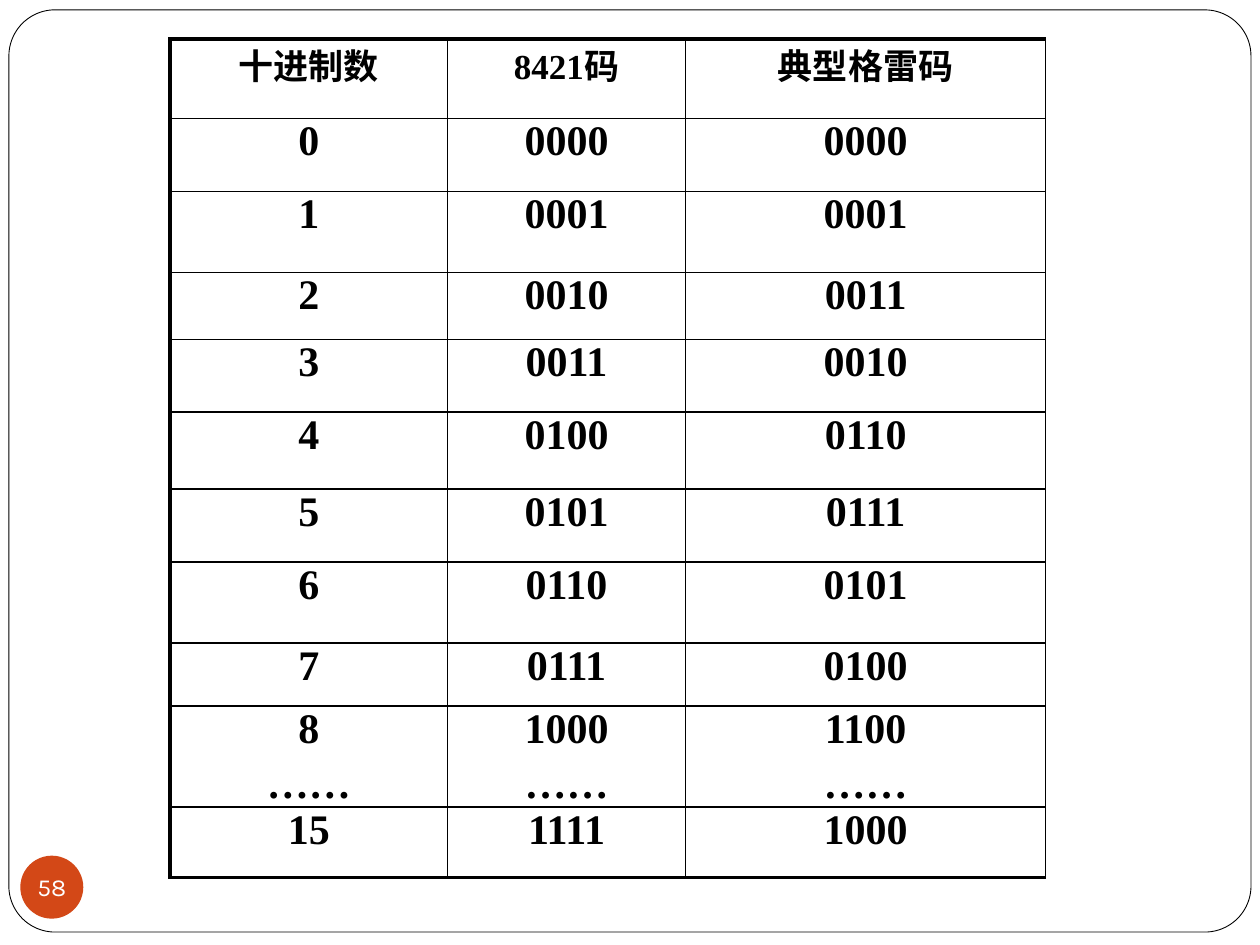
from dataclasses import dataclass

import lxml.etree
import pptx
import pptx.dml.color
import pptx.enum.shapes
import pptx.enum.text
import pptx.oxml.ns
import pptx.util

Cm = pptx.util.Cm
Pt = pptx.util.Pt
qn = pptx.oxml.ns.qn
SHAPES = pptx.enum.shapes.MSO_SHAPE
CENTER = pptx.enum.text.PP_ALIGN.CENTER

BLACK = pptx.dml.color.RGBColor(0x00, 0x00, 0x00)
WHITE = pptx.dml.color.RGBColor(0xFF, 0xFF, 0xFF)
ORANGE = pptx.dml.color.RGBColor(0xD3, 0x48, 0x17)

COLUMN_WIDTHS = (5.59, 4.8, 7.26)
ROW_HEIGHTS = (1.6, 1.47, 1.63, 1.35, 1.47, 1.55, 1.47, 1.63, 1.27, 1.6, 1.42)
THIN, THICK = 1, 2.25


@dataclass(frozen=True)
class TextFormat:
    name: str
    size: int
    bold: bool
    color: pptx.dml.color.RGBColor


@dataclass(frozen=True)
class Panel:
    outline: int
    left: float
    top: float
    width: float
    height: float
    fill: pptx.dml.color.RGBColor


HEADING = TextFormat("Times New Roman", 20, True, BLACK)
CODE = TextFormat("Times New Roman", 24, True, BLACK)
PAGE_NUMBER = TextFormat("Karla", 14, False, WHITE)
FRAME = Panel(SHAPES.ROUNDED_RECTANGLE, 0.18, 0.2, 25.04, 18.59, WHITE)
BADGE = Panel(SHAPES.OVAL, 0.41, 17.25, 1.27, 1.27, ORANGE)


def apply(target, values: dict) -> None:
    for attribute, value in values.items():
        setattr(target, attribute, value)


def write(paragraph, text: str, style: TextFormat) -> None:
    paragraph.alignment = CENTER
    run = paragraph.add_run()
    run.text = text
    apply(run.font, {"name": style.name, "size": Pt(style.size), "bold": style.bold})
    run.font.color.rgb = style.color


def draw_panel(slide, panel: Panel):
    box = [Cm(length) for length in (panel.left, panel.top, panel.width, panel.height)]
    shape = slide.shapes.add_shape(panel.outline, *box)
    shape.shadow.inherit = False
    shape.fill.solid()
    shape.fill.fore_color.rgb = panel.fill
    return shape


def space_before(paragraph, percent: int) -> None:
    spacing = lxml.etree.SubElement(paragraph._p.get_or_add_pPr(), qn("a:spcBef"))
    lxml.etree.SubElement(spacing, qn("a:spcPct"), val=str(percent * 1000))


def draw_borders(cell, widths: dict[str, float]) -> None:
    properties = cell._tc.get_or_add_tcPr()
    for position, (side, width) in enumerate(widths.items()):
        border = lxml.etree.Element(qn(f"a:ln{side}"), w=str(Pt(width)))
        paint = lxml.etree.SubElement(border, qn("a:solidFill"))
        lxml.etree.SubElement(paint, qn("a:srgbClr"), val=str(BLACK))
        properties.insert(position, border)


def fill_cell(cell, lines: list[str], style: TextFormat) -> None:
    apply(cell, {
        "margin_left": Cm(0.25),
        "margin_right": Cm(0.25),
        "margin_top": 0,
        "margin_bottom": 0,
    })
    cell.fill.background()
    for index, line in enumerate(lines):
        frame = cell.text_frame
        paragraph = frame.add_paragraph() if index else frame.paragraphs[0]
        write(paragraph, line, style)
        space_before(paragraph, 20)


def code_row(number: int) -> list[list[str]]:
    gray = number ^ (number >> 1)
    ellipsis = ["……"] if number == 8 else []
    return [[code, *ellipsis] for code in (str(number), f"{number:04b}", f"{gray:04b}")]


def draw_code_table(slide) -> None:
    rows = [[["十进制数"], ["8421码"], ["典型格雷码"]]]
    rows += [code_row(number) for number in (*range(9), 15)]
    table = slide.shapes.add_table(
        len(rows), len(COLUMN_WIDTHS), Cm(3.43), Cm(0.79),
        Cm(sum(COLUMN_WIDTHS)), Cm(sum(ROW_HEIGHTS)),
    ).table
    apply(table, {"first_row": False, "horz_banding": False})
    for column, width in zip(table.columns, COLUMN_WIDTHS):
        column.width = Cm(width)
    last = len(rows) - 1
    for r, (row, height) in enumerate(zip(rows, ROW_HEIGHTS)):
        table.rows[r].height = Cm(height)
        for c, lines in enumerate(row):
            cell = table.cell(r, c)
            fill_cell(cell, lines, CODE if r else HEADING)
            draw_borders(cell, {
                "L": THIN if c else THICK,
                "R": THIN,
                "T": THIN if r else THICK,
                "B": THICK if r == last else THIN,
            })


def main() -> None:
    deck = pptx.Presentation()
    apply(deck, {"slide_width": Cm(25.4), "slide_height": Cm(19.05)})
    slide = deck.slides.add_slide(deck.slide_layouts[6])

    frame = draw_panel(slide, FRAME)
    frame.adjustments[0] = 0.05
    frame.line.color.rgb = BLACK
    frame.line.width = Pt(0.5)

    badge = draw_panel(slide, BADGE)
    badge.line.fill.background()
    apply(badge.text_frame, {
        "margin_left": 0,
        "margin_right": 0,
        "margin_top": 0,
        "margin_bottom": 0,
        "word_wrap": False,
        "vertical_anchor": pptx.enum.text.MSO_ANCHOR.MIDDLE,
    })
    write(badge.text_frame.paragraphs[0], "58", PAGE_NUMBER)

    draw_code_table(slide)
    deck.save("out.pptx")


if __name__ == "__main__":
    main()
